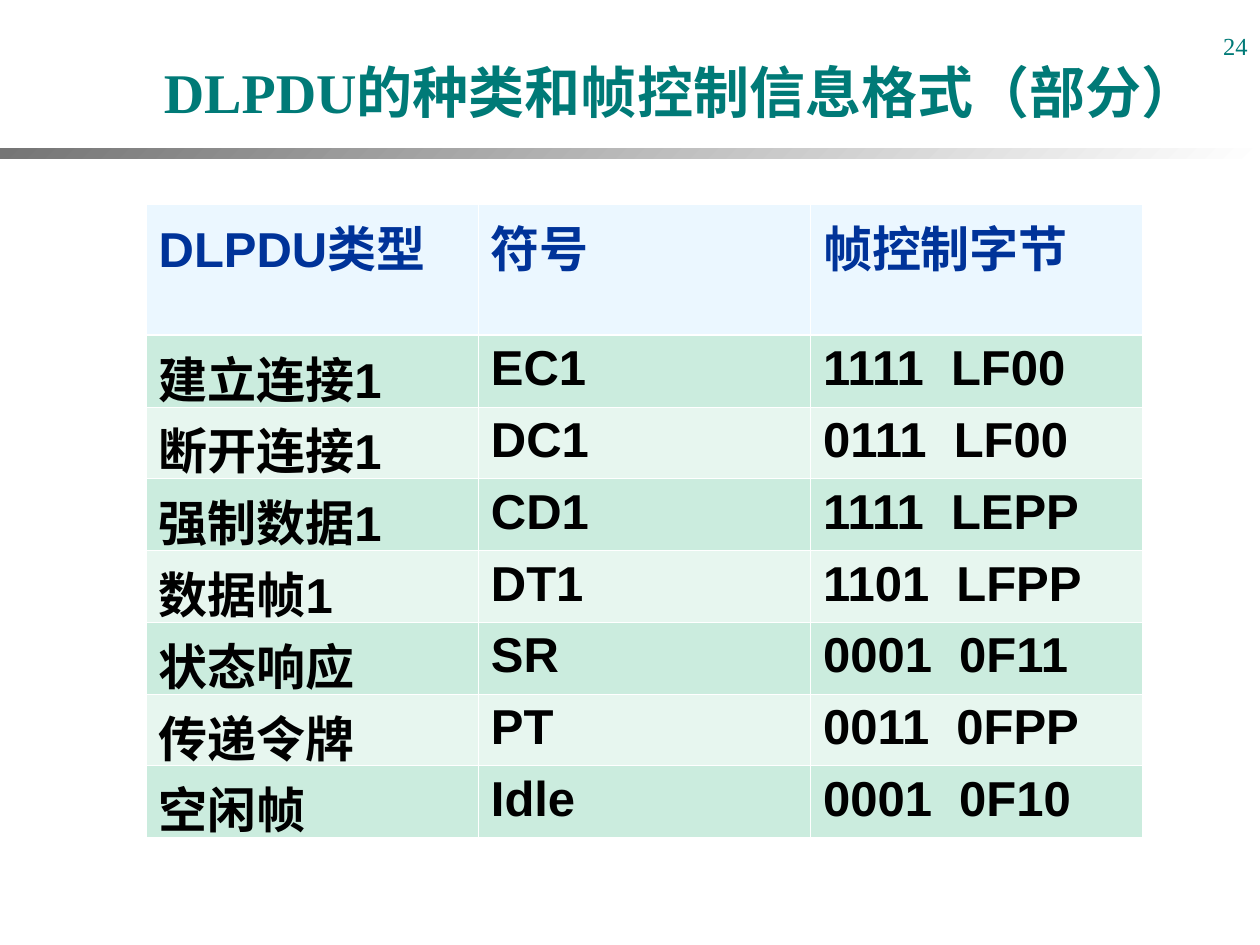
"""Build the slide on DLPDU types and their frame control bytes."""
from dataclasses import dataclass

from lxml import etree
from pptx import Presentation, util as u
from pptx.dml.color import RGBColor
from pptx.enum import shapes, text
from pptx.oxml.ns import qn


@dataclass(frozen=True)
class Theme:
    teal: str = "007A77"
    navy: str = "003399"
    black: str = "000000"
    white: str = "FFFFFF"
    grey: str = "757575"
    header: str = "EBF7FF"
    bands: tuple = ("CBECDE", "E7F6EF")
    serif: str = "Times New Roman"
    sans: str = "Arial"
    title_size: int = 32
    table_size: int = 28
    number_size: int = 14
    thin: float = 0.45
    thick: float = 1.47


class Deck:
    COLS, ROWS = 100, 75

    def __init__(self, prs, theme):
        self.prs, self.theme = prs, theme
        self.s = prs.slides.add_slide(prs.slide_layouts[5])

    def x(self, cols):
        return round(self.prs.slide_width * cols / self.COLS)

    def y(self, rows):
        return round(self.prs.slide_height * rows / self.ROWS)

    def box(self, left, top, width, height):
        return self.x(left), self.y(top), self.x(width), self.y(height)

    def set_text(self, tf, words, font, size, color, bold=False, align=text.PP_ALIGN.LEFT):
        tf.text = words
        p = tf.paragraphs[0]
        p.alignment = align
        for r in p.runs:
            r.font.name, r.font.size, r.font.bold = font, u.Pt(size), bold
            r.font.color.rgb = RGBColor.from_string(color)

    def title(self, words, *place):
        t, sp = self.theme, self.s.shapes.title
        sp.left, sp.top, sp.width, sp.height = self.box(*place)
        tf = sp.text_frame
        tf.word_wrap, tf.auto_size = True, text.MSO_AUTO_SIZE.NONE
        tf.vertical_anchor = text.MSO_ANCHOR.MIDDLE
        self.set_text(tf, words, t.serif, t.title_size, t.teal, bold=True)

    def page_number(self, words, *place):
        t = self.theme
        tf = self.s.shapes.add_textbox(*self.box(*place)).text_frame
        tf.word_wrap = True
        self.set_text(tf, words, t.serif, t.number_size, t.teal, align=text.PP_ALIGN.RIGHT)

    def rule(self, *place):
        sp = self.s.shapes.add_shape(shapes.MSO_SHAPE.RECTANGLE, *self.box(*place))
        sp.shadow.inherit = False
        sp.line.fill.background()
        sp.fill.gradient()
        sp.fill.gradient_angle = 135
        colors = (self.theme.white, self.theme.grey)
        for i, (stop, color) in enumerate(zip(sp.fill.gradient_stops, colors)):
            stop.color.rgb = RGBColor.from_string(color)
            stop.position = i

    def borders(self, cell, top, bottom):
        t = self.theme
        tc_pr = cell._tc.get_or_add_tcPr()
        widths = {"a:lnL": t.thin, "a:lnR": t.thin, "a:lnT": top, "a:lnB": bottom}
        for i, (tag, width) in enumerate(widths.items()):
            ln = etree.Element(qn(tag), w=str(u.Pt(width)))
            fill = etree.SubElement(ln, qn("a:solidFill"))
            etree.SubElement(fill, qn("a:srgbClr"), val=t.white)
            tc_pr.insert(i, ln)

    def table(self, rows, header_height, row_height, *place):
        t = self.theme
        table = self.s.shapes.add_table(len(rows), len(rows[0]), *self.box(*place)).table
        for i, values in enumerate(rows):
            table.rows[i].height = self.y(row_height if i else header_height)
            fill = t.bands[(i - 1) % 2] if i else t.header
            top = t.thick if i == 1 else t.thin
            bottom = t.thin if i else t.thick
            for j, words in enumerate(values):
                cell = table.cell(i, j)
                cell.fill.solid()
                cell.fill.fore_color.rgb = RGBColor.from_string(fill)
                self.borders(cell, top, bottom)
                color = t.black if i else t.navy
                self.set_text(cell.text_frame, words, t.sans, t.table_size, color, bold=True)


FRAMES = [
    ("DLPDU类型", "符号", "帧控制字节"),
    ("建立连接1", "EC1", "1111  LF00"),
    ("断开连接1", "DC1", "0111  LF00"),
    ("强制数据1", "CD1", "1111  LEPP"),
    ("数据帧1", "DT1", "1101  LFPP"),
    ("状态响应", "SR", "0001  0F11"),
    ("传递令牌", "PT", "0011  0FPP"),
    ("空闲帧", "Idle", "0001  0F10"),
]


def main():
    prs = Presentation()
    prs.slide_width, prs.slide_height = u.Inches(10), u.Inches(7.5)
    deck = Deck(prs, Theme())
    deck.page_number("24", 79.2, 2, 20.8, 5)
    deck.table(FRAMES, 10.4, 5.7, 11.6, 16.2, 79.1, 50.3)
    deck.title("DLPDU的种类和帧控制信息格式（部分）", 12, 4, 85.9, 6.4)
    deck.rule(0, 11.8, 100, 0.8)
    prs.save("out.pptx")


if __name__ == "__main__":
    main()
